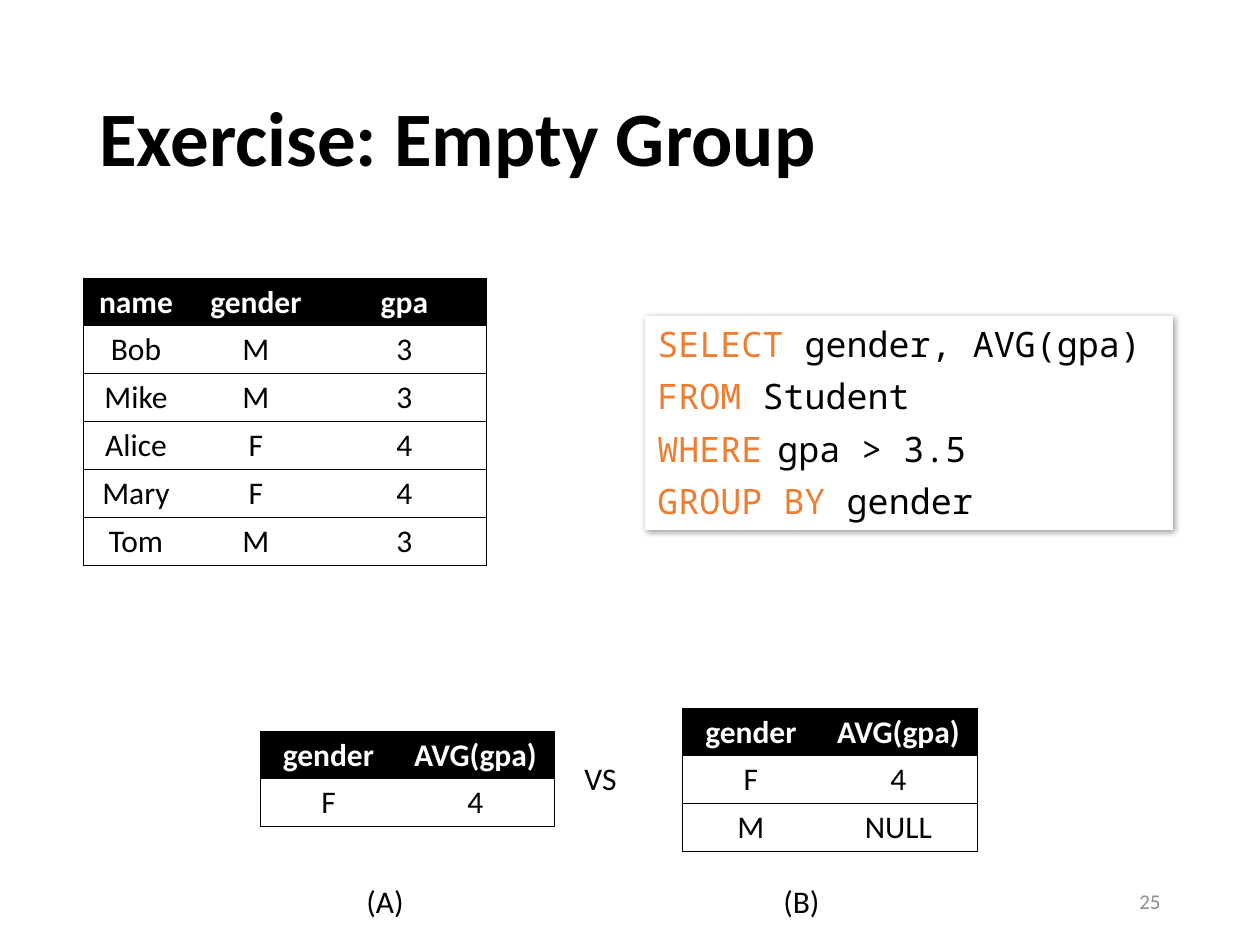
import pptx
import pptx.dml.color
import pptx.enum.shapes
import pptx.enum.text
import pptx.oxml
import pptx.oxml.ns
import pptx.util

PX = pptx.util.Inches(1) // 126
ALIGN = pptx.enum.text.PP_ALIGN
ANCHOR = pptx.enum.text.MSO_ANCHOR
BLACK, WHITE, GRAY, ORANGE = "000000", "FFFFFF", "8C8C8C", "ED7D31"
SANS, MONO = "Calibri", "Noto Sans Mono"
ROW_H = 47

TITLE = "Exercise: Empty Group"
# left, top, column widths, rows (header first)
TABLES = [
    (83, 278, (106, 134, 163), [
        ("name", "gender", "gpa"),
        ("Bob", "M", "3"),
        ("Mike", "M", "3"),
        ("Alice", "F", "4"),
        ("Mary", "F", "4"),
        ("Tom", "M", "3"),
    ]),
    (260, 731, (137, 157), [("gender", "AVG(gpa)"), ("F", "4")]),
    (682, 708, (138, 157), [("gender", "AVG(gpa)"), ("F", "4"), ("M", "NULL")]),
]
# text, size, colour for each run
QUERY = [
    [("SELECT ", 20, ORANGE), ("gender, AVG(gpa)", 20, BLACK)],
    [("FROM ", 20, ORANGE), ("Student", 20, BLACK)],
    [("WHERE", 20, ORANGE), (" ", 14, ORANGE), ("gpa > 3.5", 20, BLACK)],
    [("GROUP BY ", 20, ORANGE), ("gender", 20, BLACK)],
]
LABELS = [("VS", 572, 753, 58), ("(A)", 354, 876, 63), ("(B)", 771, 876, 63)]


def rgb(color):
    return pptx.dml.color.RGBColor.from_string(color)


def emu(*lengths):
    return [length * PX for length in lengths]


def style(r, size, color, font=SANS, bold=False):
    r.font.size = pptx.util.Pt(size)
    r.font.color.rgb = rgb(color)
    r.font.name = font
    r.font.bold = bold


def add_text(slide, text, box, size, color=BLACK, bold=False,
             align=ALIGN.LEFT, anchor=ANCHOR.TOP, wrap=True):
    tf = slide.shapes.add_textbox(*emu(*box)).text_frame
    tf.word_wrap = wrap
    tf.vertical_anchor = anchor
    tf.text = text
    p = tf.paragraphs[0]
    p.alignment = align
    style(p.runs[0], size, color, bold=bold)
    return p


def set_borders(cell, first, last):
    """Rule the cell above and below, and at the outer sides of the table."""
    drawn = {"lnL": first, "lnR": last, "lnT": True, "lnB": True}
    tc_pr = cell._tc.get_or_add_tcPr()
    for i, (tag, visible) in enumerate(drawn.items()):
        paint = (f'<a:solidFill><a:srgbClr val="{BLACK}"/></a:solidFill>'
                 if visible else "<a:noFill/>")
        tc_pr.insert(i, pptx.oxml.parse_xml(
            f'<a:{tag} {pptx.oxml.ns.nsdecls("a")} w="6350">{paint}</a:{tag}>'))


def add_table(slide, left, top, widths, rows):
    box = emu(left, top, sum(widths), ROW_H * len(rows))
    table = slide.shapes.add_table(len(rows), len(widths), *box).table
    table.horz_banding = False
    for column, width in zip(table.columns, widths):
        column.width = width * PX
    for i, row in enumerate(rows):
        table.rows[i].height = ROW_H * PX
        for j, text in enumerate(row):
            cell = table.cell(i, j)
            cell.margin_left = cell.margin_right = pptx.util.Inches(0.07)
            cell.margin_top = cell.margin_bottom = pptx.util.Inches(0.04)
            cell.text = text
            p = cell.text_frame.paragraphs[0]
            p.alignment = ALIGN.CENTER
            header = i == 0
            style(p.runs[0], 18, WHITE if header else BLACK, bold=header)
            set_borders(cell, j == 0, j == len(row) - 1)
            cell.fill.solid()
            cell.fill.fore_color.rgb = rgb(BLACK if header else WHITE)


def add_query(slide):
    sp = slide.shapes.add_shape(
        pptx.enum.shapes.MSO_SHAPE.RECTANGLE, *emu(645, 316, 528, 214))
    sp.fill.solid()
    sp.fill.fore_color.rgb = rgb(WHITE)
    sp.line.fill.background()
    sp._element.spPr.append(pptx.oxml.parse_xml(
        f'<a:effectLst {pptx.oxml.ns.nsdecls("a")}>'
        '<a:outerShdw blurRad="50800" dist="12700" dir="2700000" algn="tl" rotWithShape="0">'
        f'<a:srgbClr val="{BLACK}"><a:alpha val="40000"/></a:srgbClr>'
        '</a:outerShdw></a:effectLst>'))
    tf = sp.text_frame
    tf.word_wrap = True
    tf.vertical_anchor = ANCHOR.TOP
    for i, line in enumerate(QUERY):
        p = tf.add_paragraph() if i else tf.paragraphs[0]
        p.alignment = ALIGN.LEFT
        p.space_before = pptx.util.Pt(6)
        for text, size, color in line:
            r = p.add_run()
            r.text = text
            style(r, size, color, MONO)


def main():
    prs = pptx.Presentation()
    prs.slide_width, prs.slide_height = emu(1260, 945)
    slide = prs.slides.add_slide(prs.slide_layouts[6])

    title = add_text(slide, TITLE, (87, 50, 1086, 183), 44, bold=True, anchor=ANCHOR.MIDDLE)
    title.line_spacing = 0.9
    add_text(slide, "25", (890, 876, 283, 50), 12, GRAY,
             align=ALIGN.RIGHT, anchor=ANCHOR.MIDDLE)
    for table in TABLES:
        add_table(slide, *table)
    add_query(slide)
    for text, left, top, width in LABELS:
        add_text(slide, text, (left, top, width, 50), 18, wrap=False)

    prs.save("out.pptx")


if __name__ == "__main__":
    main()
